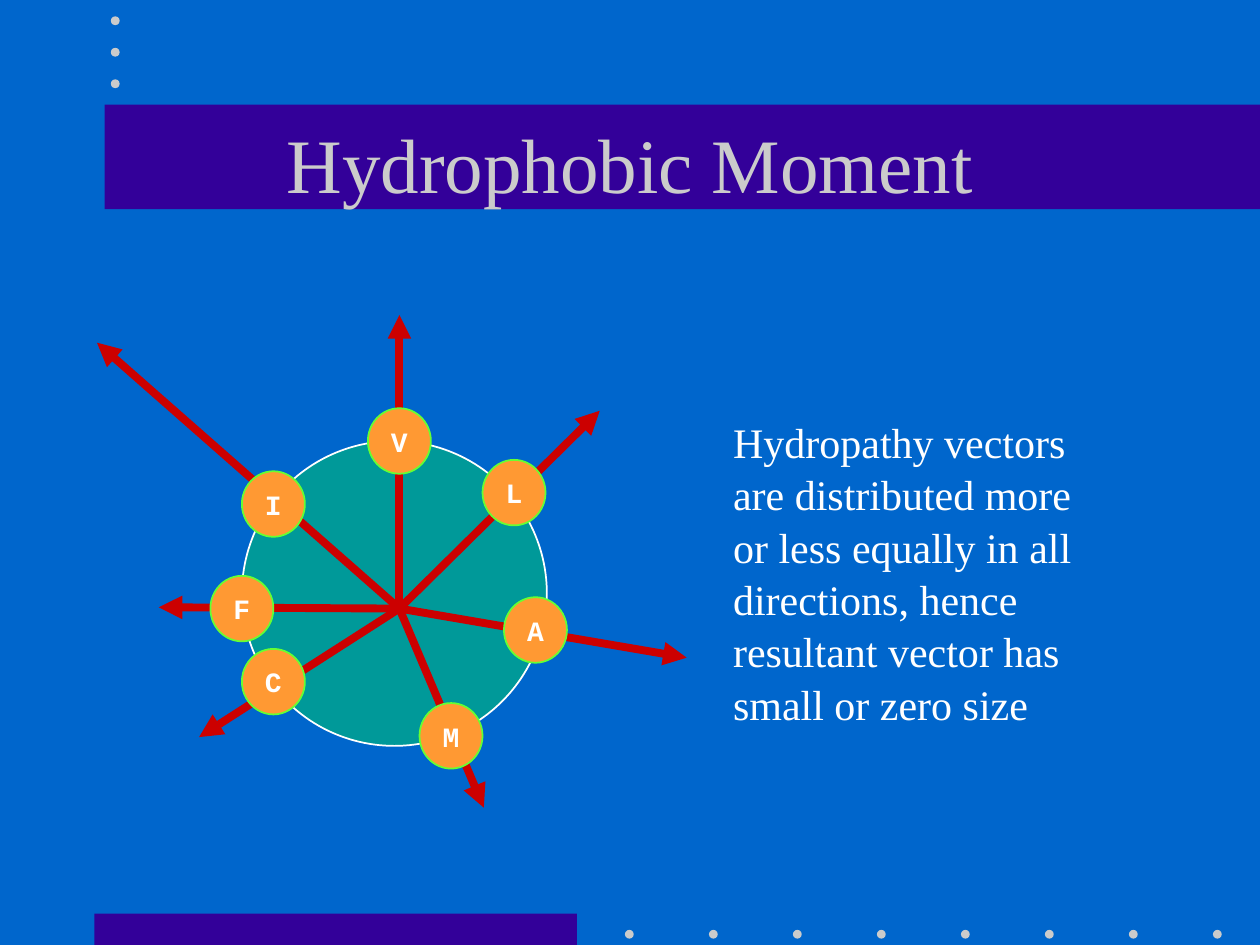
"""Build a slide showing the hydropathy vectors around a helical wheel."""
from lxml import etree
from pptx import Presentation
from pptx.dml.color import RGBColor
from pptx.enum.shapes import MSO_CONNECTOR, MSO_SHAPE
from pptx.enum.text import MSO_ANCHOR, PP_ALIGN
from pptx.oxml.ns import qn
from pptx.util import Inches, Pt

OVAL, RECTANGLE = MSO_SHAPE.OVAL, MSO_SHAPE.RECTANGLE
STRAIGHT = MSO_CONNECTOR.STRAIGHT
CENTER, MIDDLE = PP_ALIGN.CENTER, MSO_ANCHOR.MIDDLE

COLORS = {
    "background": "0066CC",
    "band": "330099",
    "dot": "CBCBCB",
    "title": "CBCBCB",
    "wheel": "009999",
    "vector": "CC0000",
    "residue": "FF9933",
    "residue_edge": "66FF33",
    "white": "FFFFFF",
}


def add_filled(kind, left, top, width, height, fill, edge=None):
    shape = slide.shapes.add_shape(
        kind, Inches(left), Inches(top), Inches(width), Inches(height))
    shape.shadow.inherit = False
    shape.fill.solid()
    shape.fill.fore_color.rgb = RGBColor.from_string(COLORS[fill])
    if edge:
        shape.line.color.rgb = RGBColor.from_string(COLORS[edge])
        shape.line.width = Pt(1)
    else:
        shape.line.fill.background()
    return shape


def add_text(paragraph, text, font_name, size, color, bold=False):
    run = paragraph.add_run()
    run.text = text
    run.font.name = font_name
    run.font.size = Pt(size)
    run.font.bold = bold
    run.font.color.rgb = RGBColor.from_string(COLORS[color])


prs = Presentation()
prs.slide_width, prs.slide_height = Inches(10), Inches(7.5)
slide = prs.slides.add_slide(prs.slide_layouts[5])
slide.background.fill.solid()
slide.background.fill.fore_color.rgb = RGBColor.from_string(COLORS["background"])

add_filled(RECTANGLE, 0.75, 7.25, 3.83, 0.25, "band")
for i in range(8):
    add_filled(OVAL, 4.96 + i * 2 / 3, 7.38, 0.07, 0.07, "dot")
title_band = add_filled(RECTANGLE, 0.83, 0.83, 9.17, 0.83, "band")
for i in range(3):
    add_filled(OVAL, 0.88, 0.13 + i * 0.25, 0.07, 0.07, "dot")

title = slide.shapes.title
title.left, title.top = Inches(0.75), Inches(0.67)
title.width, title.height = Inches(8.5), Inches(1.25)
title.text_frame.vertical_anchor = MIDDLE
title.text_frame.paragraphs[0].alignment = CENTER
add_text(title.text_frame.paragraphs[0], "Hydrophobic Moment",
         "Times New Roman", 44, "title")
title_band.element.addnext(title.element)

add_filled(OVAL, 1.92, 3.5, 2.42, 2.42, "wheel", "white")

origin_x, origin_y = 3.17, 4.83
vector_tips = [(3.17, 2.5), (5.45, 5.22), (0.77, 2.72), (1.58, 5.85),
               (3.84, 6.41), (4.76, 3.26), (1.26, 4.82)]
for tip_x, tip_y in vector_tips:
    vector = slide.shapes.add_connector(
        STRAIGHT, Inches(origin_x), Inches(origin_y), Inches(tip_x), Inches(tip_y))
    vector.line.color.rgb = RGBColor.from_string(COLORS["vector"])
    vector.line.width = Pt(4.5)
    outline = vector.line._get_or_add_ln()
    etree.SubElement(outline, qn("a:tailEnd"), type="triangle")
    etree.SubElement(vector.element.spPr, qn("a:effectLst"))

explanation = slide.shapes.add_textbox(
    Inches(5.72), Inches(3.24), Inches(3.23), Inches(2.5))
explanation.text_frame.word_wrap = True
explanation.text_frame.paragraphs[0].line_spacing = 1.04
add_text(explanation.text_frame.paragraphs[0],
         "Hydropathy vectors are distributed more or less equally in all "
         "directions, hence resultant vector has small or zero size",
         "Times New Roman", 24, "white")

residues = [("I", 1.92, 3.74), ("F", 1.67, 4.57), ("C", 1.92, 5.15),
            ("M", 3.33, 5.58), ("A", 4, 4.74), ("L", 3.83, 3.65),
            ("V", 2.92, 3.24)]
for letter, left, top in residues:
    residue = add_filled(OVAL, left, top, 0.5, 0.52, "residue", "residue_edge")
    frame = residue.text_frame
    frame.margin_left = frame.margin_right = 0
    frame.vertical_anchor = MIDDLE
    frame.paragraphs[0].alignment = CENTER
    add_text(frame.paragraphs[0], letter, "Courier New", 16, "white", True)

prs.save("out.pptx")
